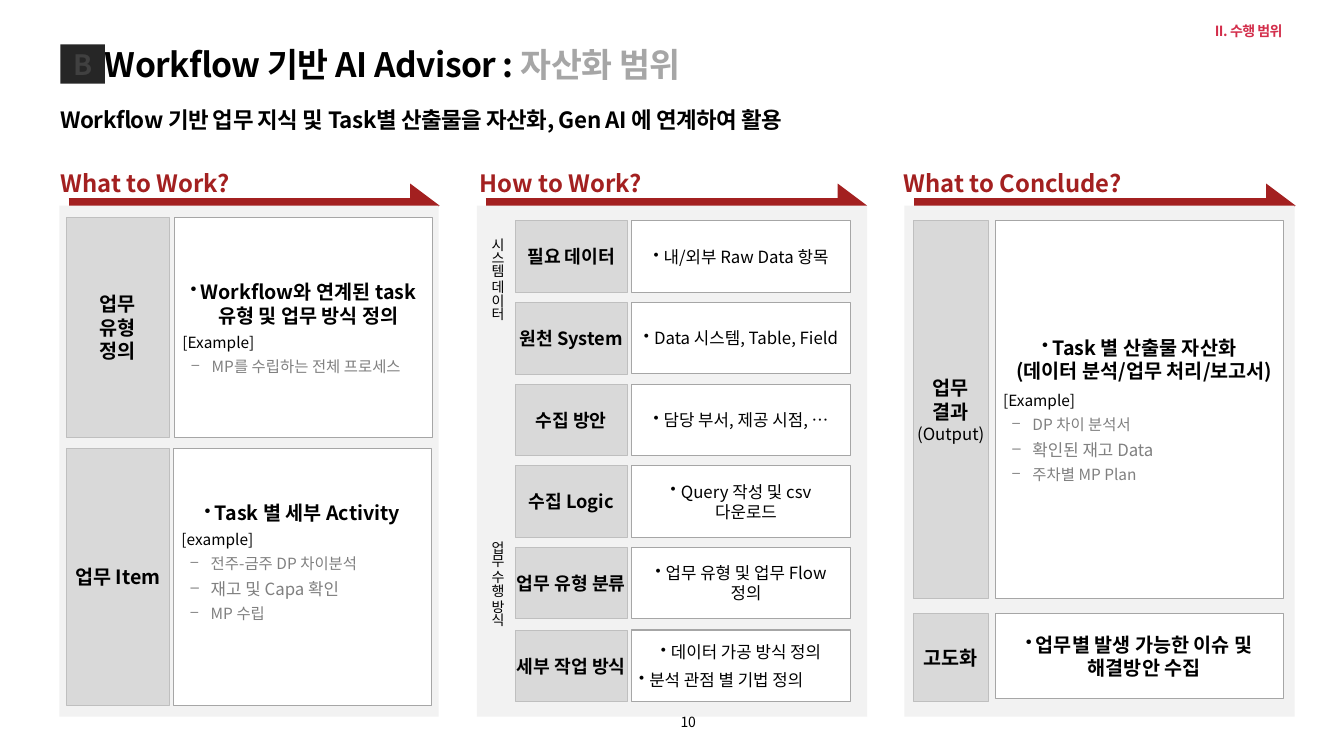
from copy import deepcopy
from typing import NamedTuple

from lxml.etree import SubElement
from pptx import Presentation
from pptx.dml.color import RGBColor
from pptx.enum.shapes import MSO_CONNECTOR, MSO_SHAPE
from pptx.enum.text import MSO_ANCHOR, PP_ALIGN
from pptx.oxml.ns import qn
from pptx.util import Pt

PX = 9144  # EMU per px, 100 px to the inch
FONT = "Noto Sans CJK JP"
BLACK = RGBColor(0x00, 0x00, 0x00)
WHITE = RGBColor(0xFF, 0xFF, 0xFF)
RED = RGBColor(0xA3, 0x20, 0x20)
CRIMSON = RGBColor(0xD3, 0x2E, 0x4B)
PANEL = RGBColor(0xF2, 0xF2, 0xF2)
LABEL = RGBColor(0xD9, 0xD9, 0xD9)
LABEL_EDGE = RGBColor(0xBF, 0xBF, 0xBF)
SILVER = RGBColor(0xA6, 0xA6, 0xA6)
GRAY = RGBColor(0x80, 0x80, 0x80)
BADGE = RGBColor(0x26, 0x26, 0x26)
BADGE_TEXT = RGBColor(0x40, 0x40, 0x40)
CENTER, RIGHT = PP_ALIGN.CENTER, PP_ALIGN.RIGHT


class Box(NamedTuple):
    x: int
    y: int
    w: int
    h: int

    def emu(self) -> list[int]:
        return [v * PX for v in self]


class Para(NamedTuple):
    text: str
    size: int = 14
    bold: bool = False
    color: RGBColor = BLACK
    align: PP_ALIGN | None = None
    bullet: str = ""
    level: int = 0
    before: int = 0
    margin: int = 0
    hanging: int = 0
    spc: int = 0


class Column(NamedTuple):
    title: str
    title_x: int
    arrow_x: int
    panel: Box


class Card(NamedTuple):
    label_box: Box
    label: list[Para]
    body_box: Box
    body: list[Para]
    bottom: int = 4


def point(text: str, size: int = 14, bold: bool = True, before: int = 0) -> Para:
    return Para(text, size, bold, bullet="•", before=before, margin=10, hanging=10)


def dash(text: str, size: int = 11) -> Para:
    return Para(text, size, color=GRAY, bullet="–", level=1, before=4,
                margin=29, hanging=20)


def labels(*lines: str, size: int = 14) -> list[Para]:
    return [Para(line, size, True, align=CENTER) for line in lines]


def add_run(p, text: str, *, size: int, bold: bool, color: RGBColor, spc: int) -> None:
    """Add text to a paragraph; a newline becomes a line break of the same size."""
    for i, line in enumerate(text.split("\n")):
        if i:
            p.add_line_break()
        r = p.add_run()
        r.text = line
        r.font.size, r.font.bold, r.font.name = Pt(size), bold, FONT
        r.font.color.rgb = color
        props = r._r.get_or_add_rPr()
        SubElement(props, qn("a:ea")).set("typeface", FONT)
        if spc:
            props.set("spc", str(spc))
        if i:
            r._r.getprevious().append(deepcopy(props))


def add_par(p, text: str, *, size: int, bold: bool, color: RGBColor,
            align: PP_ALIGN | None, bullet: str, level: int, before: int,
            margin: int, hanging: int, spc: int) -> None:
    props = p._p.get_or_add_pPr()
    if margin:
        props.set("marL", str(margin * PX))
        props.set("indent", str(-hanging * PX))
    if bullet:
        SubElement(props, qn("a:buSzPct")).set("val", "90000")
        SubElement(props, qn("a:buChar")).set("char", bullet)
    p.level = level
    if align is not None:
        p.alignment = align
    if before:
        p.space_before = Pt(before)
    add_run(p, text, size=size, bold=bold, color=color, spc=spc)


def fill_text(tf, paras: list[Para], side: int = 0, top: int = 0, bottom: int = 0,
              anchor: MSO_ANCHOR = MSO_ANCHOR.MIDDLE) -> None:
    tf.word_wrap = True
    tf.vertical_anchor = anchor
    tf.margin_left = tf.margin_right = side * PX
    tf.margin_top, tf.margin_bottom = top * PX, bottom * PX
    for i, para in enumerate(paras):
        p = tf.add_paragraph() if i else tf.paragraphs[0]
        add_par(p, **para._asdict())


def add_rect(shapes, box: Box, fill: RGBColor, edge: RGBColor | None = None,
             width: float = 0.75):
    sp = shapes.add_shape(MSO_SHAPE.RECTANGLE, *box.emu())
    sp.shadow.inherit = False
    sp.fill.solid()
    sp.fill.fore_color.rgb = fill
    if edge is None:
        sp.line.fill.background()
    else:
        sp.line.color.rgb = edge
        sp.line.width = Pt(width)
    return sp


def add_label(shapes, box: Box, para: Para, vertical: bool = False):
    tf = shapes.add_textbox(*box.emu()).text_frame
    fill_text(tf, [para], anchor=MSO_ANCHOR.MIDDLE if vertical else MSO_ANCHOR.TOP)
    if vertical:
        tf._txBody.bodyPr.set("vert", "eaVert")
    return tf


def add_column(shapes, col: Column) -> None:
    """Draw the heading arrow; the panel hides the lower half of it."""
    y = col.panel.y * PX
    line = shapes.add_connector(MSO_CONNECTOR.STRAIGHT, col.arrow_x * PX, y,
                                (col.arrow_x + 378 - 10 * (col.arrow_x < 100)) * PX, y)
    line.line.color.rgb = RED
    line.line.width = Pt(10.5)
    tail = SubElement(line.line._get_or_add_ln(), qn("a:tailEnd"))
    for key, value in (("type", "triangle"), ("w", "med"), ("len", "sm")):
        tail.set(key, value)
    SubElement(line._element.spPr, qn("a:effectLst"))
    add_rect(shapes, col.panel, PANEL)
    add_label(shapes, Box(col.title_x, 167, 366, 29), Para(col.title, 17, True, RED))


def add_card(shapes, card: Card) -> None:
    label = add_rect(shapes, card.label_box, LABEL, LABEL_EDGE, 0.5)
    fill_text(label.text_frame, card.label)
    body = add_rect(shapes, card.body_box, WHITE, SILVER)
    fill_text(body.text_frame, card.body, 8, 4, card.bottom)


COLUMNS = [
    Column("What to Work?", 60, 68, Box(59, 204, 376, 507)),
    Column("How to Work?", 476, 482, Box(473, 204, 387, 507)),
    Column("What to Conclude?", 896, 907, Box(897, 204, 387, 507)),
]
CARDS = [
    Card(Box(66, 216, 102, 218), labels("업무", "유형\n정의"), Box(173, 216, 256, 218),
         [point("Workflow와 연계된 task 유형 및 업무 방식 정의"),
          Para("[Example]", 11, before=4), dash("MP를 수립하는 전체 프로세스")]),
    Card(Box(66, 445, 102, 255), labels("업무 Item"), Box(172, 445, 256, 255),
         [point("Task 별 세부 Activity"), Para("[example]", 11, before=4),
          dash("전주-금주 DP 차이분석"), dash("재고 및 Capa 확인", 12), dash("MP 수립")],
         bottom=34),
    Card(Box(906, 219, 74, 375),
         labels("업무", "결과") + [Para("(Output)", 12, align=CENTER)],
         Box(987, 219, 286, 375),
         [point("Task 별 산출물 자산화\n(데이터 분석/업무 처리/보고서)"),
          Para("[Example]", 11, before=6), dash("DP 차이 분석서"),
          dash("확인된 재고 Data", 12), dash("주차별 MP Plan")]),
    Card(Box(906, 609, 74, 87), labels("고도화"), Box(987, 609, 286, 84),
         [point("업무별 발생 가능한 이슈 및 해결방안 수집")]),
]
HOW_ROWS = [
    ("필요 데이터", ["내/외부 Raw Data 항목"]),
    ("원천 System", ["Data 시스템, Table, Field"]),
    ("수집 방안", ["담당 부서, 제공 시점, …"]),
    ("수집 Logic", ["Query 작성 및 csv 다운로드"]),
    ("업무 유형 분류", ["업무 유형 및 업무 Flow 정의"]),
    ("세부 작업 방식", ["데이터 가공 방식 정의", "분석 관점 별 기법 정의"]),
]


def main() -> None:
    prs = Presentation()
    prs.slide_width, prs.slide_height = 1333 * PX, 750 * PX
    shapes = prs.slides.add_slide(prs.slide_layouts[6]).shapes

    tf = add_label(shapes, Box(60, 44, 1213, 54),
                   Para("Workflow 기반 AI Advisor : ", 24, True, margin=44, spc=-40))
    add_run(tf.paragraphs[0], "자산화 범위", size=24, bold=True, color=SILVER, spc=-40)
    badge = add_rect(shapes, Box(60, 44, 44, 39), BADGE)
    fill_text(badge.text_frame, [Para("B", 20, True, BADGE_TEXT, CENTER, spc=-40)])
    tf = add_label(shapes, Box(60, 100, 1213, 47), Para(
        "Workflow 기반 업무 지식 및 Task별 산출물을 자산화, Gen AI 에 연계하여 활용",
        16, True, spc=-30))
    tf.paragraphs[0].line_spacing = 1.2

    for col in COLUMNS:
        add_column(shapes, col)
    for card in CARDS:
        add_card(shapes, card)
    for i, (name, items) in enumerate(HOW_ROWS):
        y = 219 + i * 406 // 5
        body = [point(item, 12, False, 6 * (k > 0)) for k, item in enumerate(items)]
        add_card(shapes, Card(Box(511, y, 111, 71), labels(name, size=13),
                              Box(626, y, 218, 71), body))

    for text, y in (("시스템 데이터", 236), ("업무 수행 방식", 537)):
        add_label(shapes, Box(485, y, 17, 131),
                  Para(text, 10, align=CENTER, spc=-40), vertical=True)
    add_label(shapes, Box(312, 708, 378, 17), Para("10", 10, align=RIGHT, spc=-30))
    add_label(shapes, Box(976, 22, 296, 10),
              Para("II. 수행 범위", 10, True, CRIMSON, RIGHT, spc=-40))
    prs.save("out.pptx")


if __name__ == "__main__":
    main()
